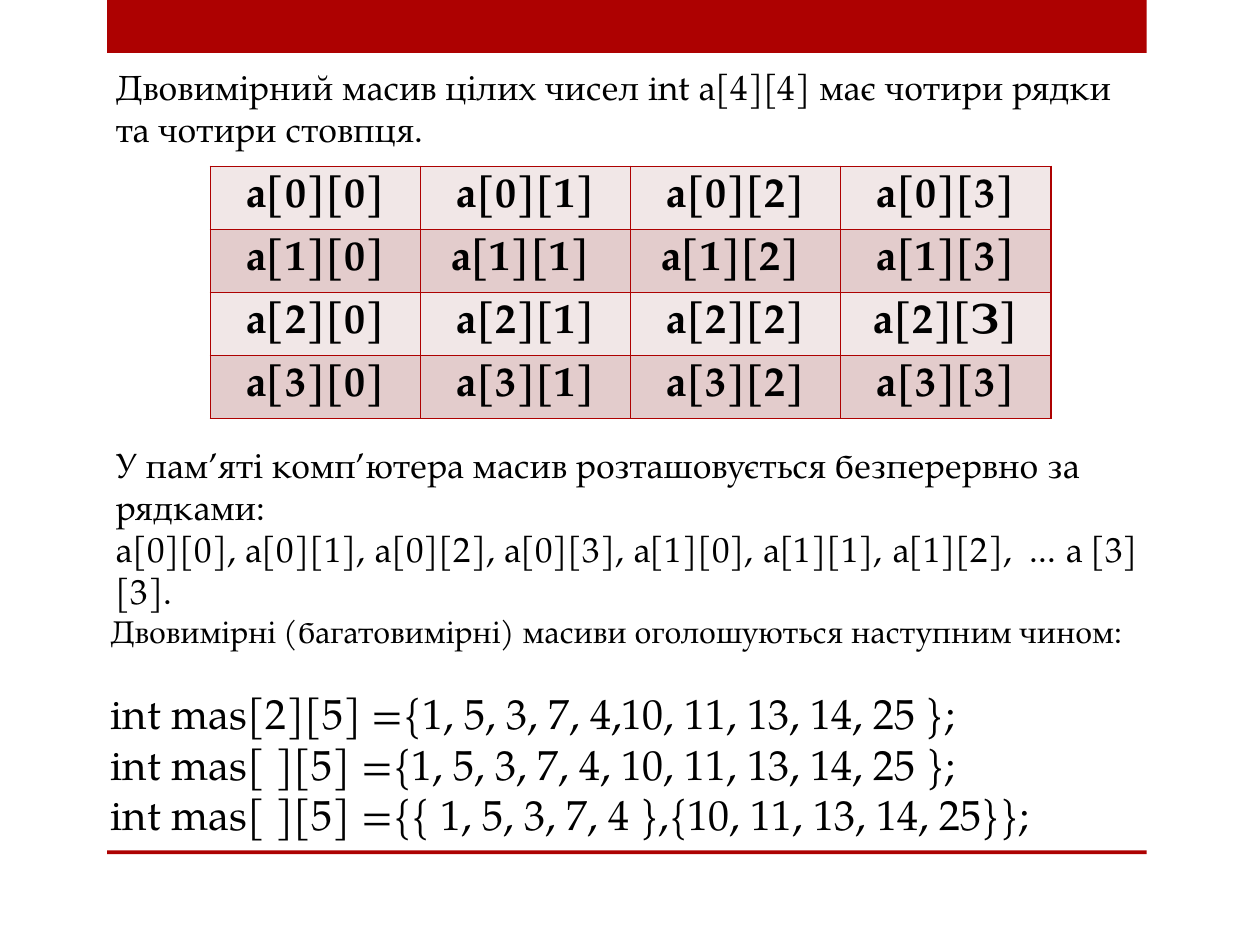
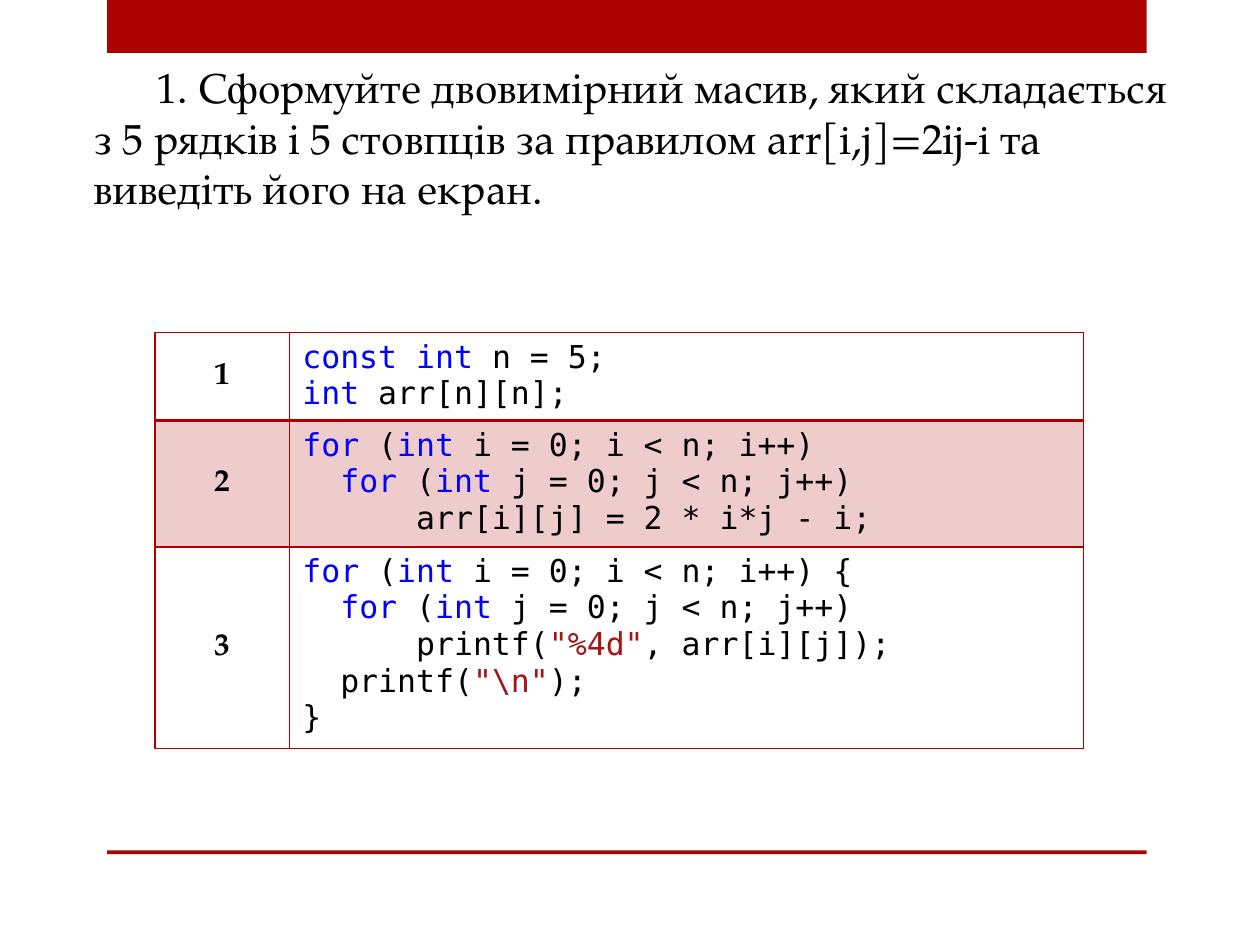
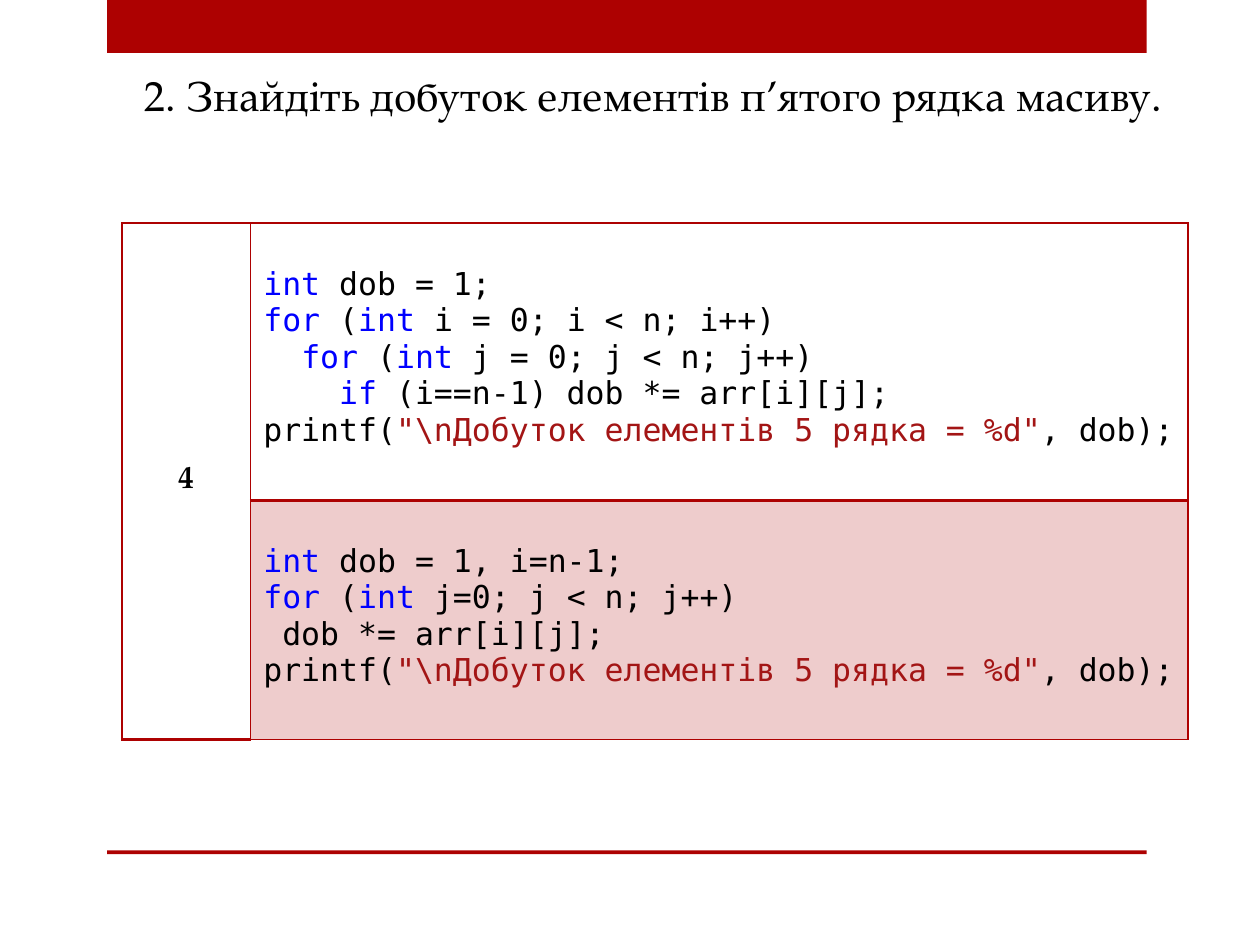
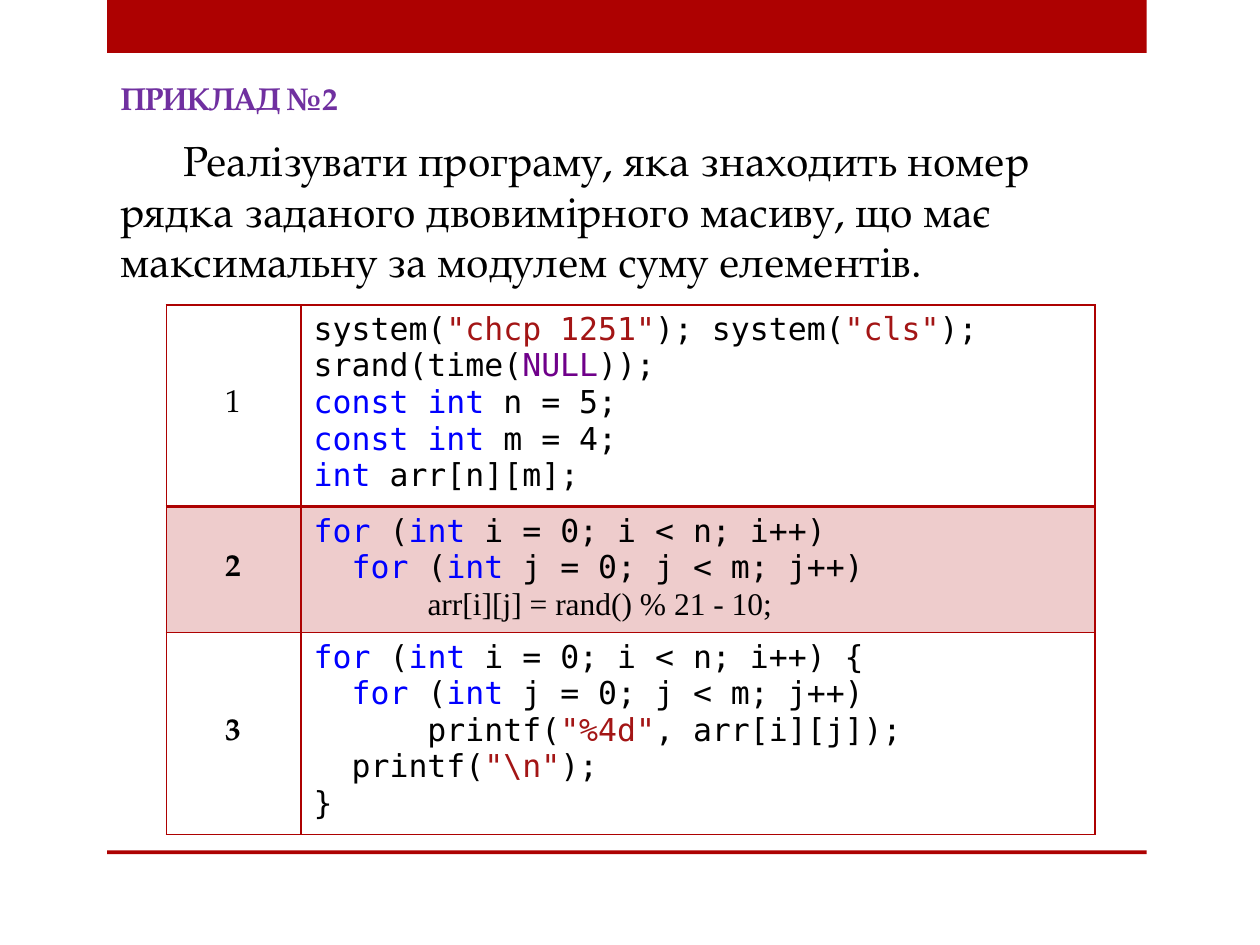
import itertools

import pptx
import pptx.dml.color
import pptx.enum.shapes
import pptx.enum.text
import pptx.oxml
import pptx.oxml.ns
import pptx.util

Inches, Pt = pptx.util.Inches, pptx.util.Pt
RGBColor = pptx.dml.color.RGBColor
qn = pptx.oxml.ns.qn
PP_ALIGN = pptx.enum.text.PP_ALIGN
MSO_ANCHOR = pptx.enum.text.MSO_ANCHOR

RED = RGBColor(0xAD, 0x01, 0x01)
BLACK = RGBColor(0, 0, 0)
PURPLE = RGBColor(0x70, 0x30, 0xA0)
ROW_TINTS = (RGBColor(0xF1, 0xE7, 0xE7), RGBColor(0xE3, 0xCC, 0xCC))
KEYWORD_BLUE = RGBColor(0, 0, 0xFF)
STRING_RED = RGBColor(0xA3, 0x15, 0x15)
MACRO_PURPLE = RGBColor(0x6F, 0x00, 0x8A)

TEXT_FONT, CODE_FONT, PLAIN_FONT = "TeX Gyre Pagella", "DejaVu Sans Mono", "Times New Roman"
WORD_COLORS = dict.fromkeys(("const", "int", "for", "if"), KEYWORD_BLUE) | {"NULL": MACRO_PURPLE}
NO_TABLE_STYLE = "{2D5ABB26-0587-4C30-8999-92F81FD0307C}"

# Content
ARRAY_TITLE = "Двовимірний масив цілих чисел int а[4][4] має чотири рядки та чотири стовпця."
ARRAY_CELLS = [
    ["а[0][0]", "а[0][1]", "а[0][2]", "а[0][3]"],
    ["а[1][0]", "а[1][1] ", "а[1][2] ", "а[1][3]"],
    ["а[2][0]", "а[2][1]", "а[2][2]", "а[2][З]"],
    ["а[3][0]", "а[3][1]", "а[3][2]", "а[3][3]"],
]
MEMORY_TEXT = [
    "У пам’яті комп’ютера масив розташовується безперервно за рядками:",
    "а[0][0], а[0][1], а[0][2], а[0][3], а[1][0], а[1][1], а[1][2],  ... а [3][3].",
]
DECLARATION_INTRO = "Двовимірні (багатовимірні) масиви оголошуються наступним чином:"
DECLARATIONS = [
    "int mas[2][5] ={1, 5, 3, 7, 4,10, 11, 13, 14, 25 };",
    "int mas[ ][5] ={1, 5, 3, 7, 4, 10, 11, 13, 14, 25 };",
    "int mas[ ][5] ={{ 1, 5, 3, 7, 4 },{10, 11, 13, 14, 25}};",
]
FORM_TASK = ("1. Сформуйте двовимірний масив, який складається з 5 рядків і 5 стовпців "
             "за правилом arr[i,j]=2іj-i та виведіть його на екран.")
PRODUCT_TASK = "2. Знайдіть добуток елементів п’ятого рядка масиву."
EXAMPLE_TITLE = "ПРИКЛАД №2"
EXAMPLE_TASK = ("Реалізувати програму, яка знаходить номер рядка заданого двовимірного масиву, "
                "що має максимальну за модулем суму елементів.")

ROW_LOOP = "for (int i = 0; i < n; i++)"
COLUMN_LOOP = "  for (int j = 0; j < {}; j++)"
PRINT_BODY = [r'      printf("%4d", arr[i][j]);', r'  printf("\n");', "}"]
PRINT_PRODUCT = r'printf("\nДобуток елементів 5 рядка = %d", dob);'
RANDOM_LINE = "      arr[i][j] = rand() % 21 - 10;"


def fill_code(columns, statement):
    return [ROW_LOOP, COLUMN_LOOP.format(columns), statement]


def print_code(columns):
    return [ROW_LOOP + " {", COLUMN_LOOP.format(columns)] + PRINT_BODY


FORM_CODE = [
    ["const int n = 5;", "int arr[n][n];"],
    fill_code("n", "      arr[i][j] = 2 * i*j - i;"),
    print_code("n"),
]
PRODUCT_CODE = [
    ["int dob = 1;", ROW_LOOP, COLUMN_LOOP.format("n"),
     "    if (i==n-1) dob *= arr[i][j];", PRINT_PRODUCT],
    ["int dob = 1, i=n-1;", "for (int j=0; j < n; j++)", " dob *= arr[i][j];", PRINT_PRODUCT],
]
EXAMPLE_CODE = [
    ['system("chcp 1251"); system("cls");', "srand(time(NULL));",
     "const int n = 5;", "const int m = 4;", "int arr[n][m];"],
    fill_code("m", RANDOM_LINE),
    print_code("m"),
]


def add_bands(slide, layout):
    """Draw the red bands and move them to the layout shared by all slides."""
    for number, (top, height) in enumerate(((0, 0.42), (6.75, 0.03))):
        band = slide.shapes.add_shape(
            pptx.enum.shapes.MSO_SHAPE.RECTANGLE,
            Inches(0.85), Inches(top), Inches(8.25), Inches(height))
        band.shadow.inherit = False
        band.fill.solid()
        band.fill.fore_color.rgb = RED
        band.line.fill.background()
        band.element.nvSpPr.cNvPr.set("id", str(20 + number))
        layout.shapes.element.append(band.element)


def style_font(font, size, color=BLACK, bold=False, name=TEXT_FONT):
    font.name, font.size, font.bold = name, Pt(size), bold
    font.color.rgb = color


def write_text(shape, box, lines, size, first_indent=0, color=BLACK, bold=False, wrap=True):
    shape.left, shape.top, shape.width, shape.height = map(Inches, box)
    frame = shape.text_frame
    frame.word_wrap = wrap
    frame.auto_size = pptx.enum.text.MSO_AUTO_SIZE.SHAPE_TO_FIT_TEXT
    frame.vertical_anchor = MSO_ANCHOR.TOP
    frame.text = "\n".join(lines)
    for paragraph in frame.paragraphs:
        paragraph.alignment = PP_ALIGN.LEFT
        style_font(paragraph.font, size, color, bold)
        if first_indent:
            paragraph.space_before = Pt(6)
            paragraph._p.get_or_add_pPr().set("indent", str(Inches(first_indent)))
    return frame


def add_text(slide, box, lines, size, **options):
    shape = slide.shapes.add_textbox(*map(Inches, box))
    return write_text(shape, box, lines, size, **options)


def add_plain_table(slide, left, top, column_widths, row_heights):
    frame = slide.shapes.add_table(
        len(row_heights), len(column_widths), Inches(left), Inches(top),
        Inches(sum(column_widths)), Inches(sum(row_heights)))
    table = frame.table
    table.first_row = table.horz_banding = False
    next(frame.element.iter(qn("a:tableStyleId"))).text = NO_TABLE_STYLE
    for column, width in zip(table.columns, column_widths):
        column.width = Inches(width)
    for row, height in zip(table.rows, row_heights):
        row.height = Inches(height)
    return table


def set_borders(cell, **widths):
    """Add red borders; keys are L, R, T, B and values are points."""
    properties = cell._tc.get_or_add_tcPr()
    for position, side in enumerate(side for side in "LRTB" if side in widths):
        line = pptx.oxml.parse_xml(
            f'<a:ln{side} xmlns:a="http://schemas.openxmlformats.org/drawingml/2006/main" '
            f'w="{Pt(widths[side])}"><a:solidFill><a:srgbClr val="{RED}"/></a:solidFill></a:ln{side}>')
        properties.insert(position, line)


def fill_cell(cell, color, opacity=100):
    cell.fill.solid()
    cell.fill.fore_color.rgb = color
    if opacity < 100:
        color_element = next(cell._tc.tcPr.find(qn("a:solidFill")).iter(qn("a:srgbClr")))
        color_element.makeelement(qn("a:alpha"))
        alpha = pptx.oxml.parse_xml(
            '<a:alpha xmlns:a="http://schemas.openxmlformats.org/drawingml/2006/main" '
            f'val="{opacity * 1000}"/>')
        color_element.append(alpha)


def write_label(cell, text, size, bold=True):
    cell.text = text
    cell.vertical_anchor = MSO_ANCHOR.MIDDLE
    paragraph = cell.text_frame.paragraphs[0]
    paragraph.alignment = PP_ALIGN.CENTER
    style_font(paragraph.font, size, bold=bold)


def color_code(line):
    """Yield (text, colour) for the strings, keywords and other parts of a line."""
    tokens = []
    for index, part in enumerate(line.split('"')):
        if index % 2:
            tokens.append((f'"{part}"', STRING_RED))
            continue
        for _, letters in itertools.groupby(part, str.isalnum):
            word = "".join(letters)
            tokens.append((word, WORD_COLORS.get(word, BLACK)))
    for color, group in itertools.groupby(tokens, lambda token: token[1]):
        yield "".join(text for text, _ in group), color


def write_code(cell, lines):
    frame = cell.text_frame
    for index, line in enumerate(lines):
        paragraph = frame.add_paragraph() if index else frame.paragraphs[0]
        for text, color in color_code(line):
            run = paragraph.add_run()
            run.text = text
            name = PLAIN_FONT if line == RANDOM_LINE else CODE_FONT
            style_font(run.font, 18, color, name=name)
        if line == RANDOM_LINE:
            statement = line.lstrip()
            run.text = statement
            indent = paragraph.add_run()
            indent.text = line[:-len(statement)]
            style_font(indent.font, 18, name=CODE_FONT)
            run._r.addprevious(indent._r)


def add_code_table(slide, left, top, column_widths, row_heights, code, labels,
                   plain_labels=(), top_margin=0.05):
    """Number the code blocks; a single label spans all the rows."""
    table = add_plain_table(slide, left, top, column_widths, row_heights)
    one_label = len(labels) == 1
    if one_label:
        table.cell(0, 0).merge(table.cell(len(code) - 1, 0))
    for label_row, label in enumerate(labels):
        write_label(table.cell(label_row, 0), label, 18, bold=label not in plain_labels)
    for row, lines in enumerate(code):
        write_code(table.cell(row, 1), lines)
        table.cell(row, 1).margin_top = Inches(top_margin)
        for column in range(2):
            cell = table.cell(row, column)
            spanning = one_label and column == 0
            if row % 2 and not spanning:
                fill_cell(cell, RED, opacity=20)
            else:
                cell.fill.background()
            borders = {"L": 1, "R": 1, "B": 2 if row == 0 or spanning else 1}
            if row == 0:
                borders["T"] = 1
            set_borders(cell, **borders)


def add_array_slide(slide):
    write_text(slide.shapes.title, (0.82, 0.47, 8.37, 0.77), [ARRAY_TITLE], 20)
    frame = add_text(slide, (0.78, 4.81, 8.45, 1.92), [DECLARATION_INTRO] + DECLARATIONS, 24)
    intro, first_declaration = frame.paragraphs[:2]
    intro.font.size = Pt(18)
    first_declaration.space_before = Pt(21.6)
    table = add_plain_table(slide, 1.67, 1.32, [6.67 / 4] * 4, [0.5] * 4)
    for row, texts in enumerate(ARRAY_CELLS):
        for column, text in enumerate(texts):
            cell = table.cell(row, column)
            write_label(cell, text, 24)
            fill_cell(cell, ROW_TINTS[row % 2])
            set_borders(cell, L=1, R=1, T=1, B=1)
    add_text(slide, (0.82, 3.47, 8.37, 1.11), MEMORY_TEXT, 20)


def add_form_slide(slide):
    write_text(slide.shapes.title, (0.64, 0.44, 8.9, 1.31), [FORM_TASK], 24, first_indent=0.5)
    add_code_table(slide, 1.23, 2.64, (1.07, 6.3), (0.7, 1, 1.6), FORM_CODE, "123")


def add_product_slide(slide):
    write_text(slide.shapes.title, (0.55, 0.5, 8.9, 0.5), [PRODUCT_TASK], 24, first_indent=0.5)
    add_code_table(slide, 0.97, 1.77, (1.02, 7.44), (2.2, 1.9), PRODUCT_CODE, "4",
                   top_margin=0.34)


def add_example_slide(slide):
    write_text(slide.shapes.title, (0.86, 0.58, 2.03, 0.4), [EXAMPLE_TITLE], 18,
               color=PURPLE, bold=True, wrap=False)
    add_text(slide, (0.86, 1.02, 8.3, 1.31), [EXAMPLE_TASK], 24, first_indent=0.5)
    add_code_table(slide, 1.32, 2.42, (1.07, 6.3), (1.6, 1, 1.6), EXAMPLE_CODE, "123",
                   plain_labels="1")


def main():
    presentation = pptx.Presentation()
    presentation.slide_width, presentation.slide_height = Inches(10), Inches(7.5)
    layout = presentation.slide_layouts.get_by_name("Title Only")
    builders = (add_array_slide, add_form_slide, add_product_slide, add_example_slide)
    for build in builders:
        slide = presentation.slides.add_slide(layout)
        if build is builders[0]:
            add_bands(slide, layout)
        build(slide)
    presentation.save("out.pptx")


if __name__ == "__main__":
    main()
